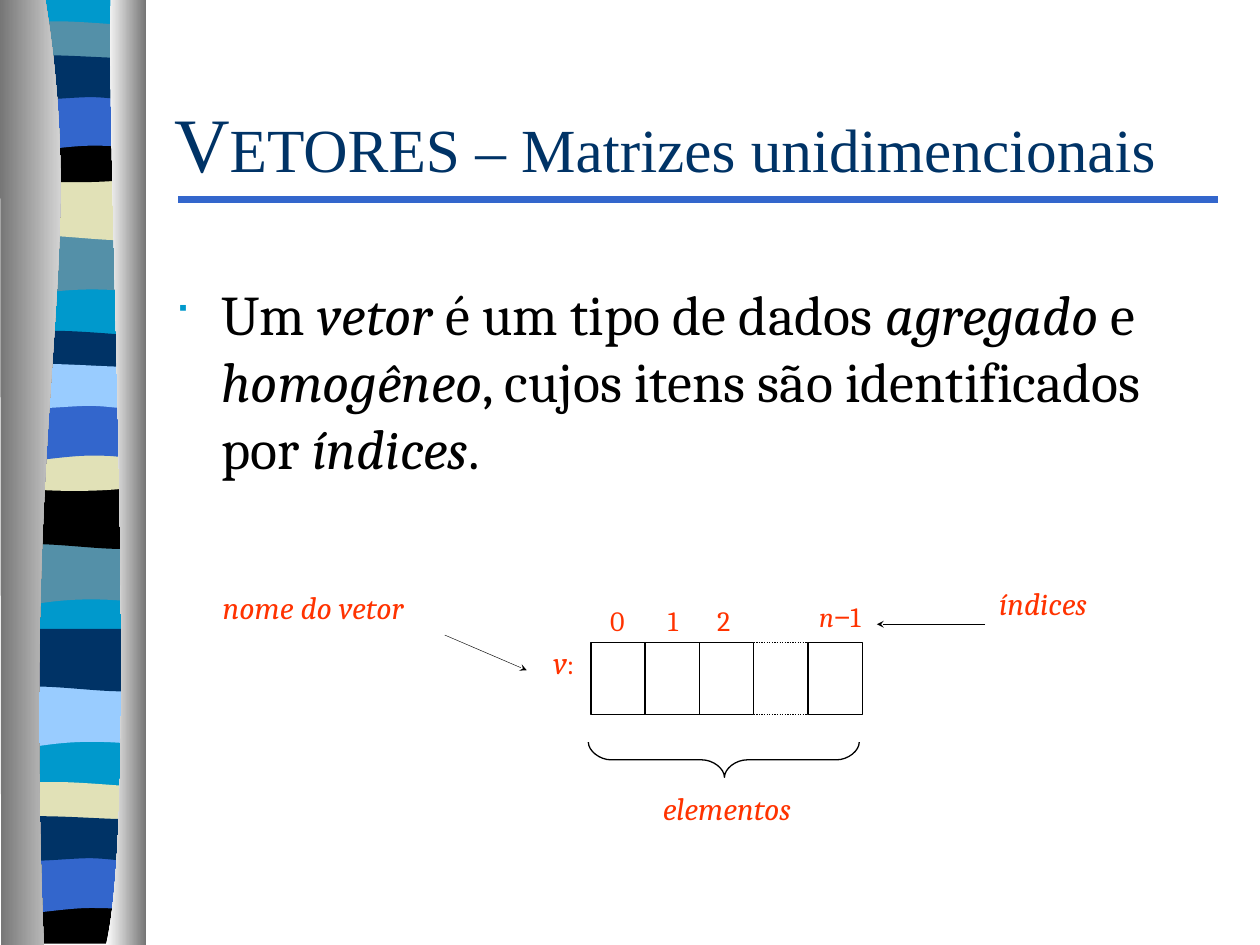
"""Build the slide that introduces one-dimensional arrays (vetores)."""
import pptx
import pptx.dml.color
import pptx.enum.dml
import pptx.enum.shapes
import pptx.enum.text
import pptx.oxml
import pptx.oxml.ns
import pptx.util

Pt = pptx.util.Pt
CENTER = pptx.enum.text.PP_ALIGN.CENTER
LEFT = pptx.enum.text.PP_ALIGN.LEFT
NAVY, BLUE, CYAN, SKY = "003366", "3366CC", "0099CC", "99CCFF"
SLATE, CREAM, BLACK, WHITE, GREY = "5490A8", "E1E1B7", "000000", "FFFFFF", "767676"
ORANGE = "FF3300"


def colour(code):
    return pptx.dml.color.RGBColor.from_string(code)


def add_span(para, text, size=18, font="Cambria", ink=ORANGE, italic=False):
    span = para.add_run()
    span.text = text
    span.font.size = Pt(size)
    span.font.name = font
    span.font.italic = italic
    span.font.color.rgb = colour(ink)


deck = pptx.Presentation()
deck.slide_width, deck.slide_height = Pt(720), Pt(540)
page = deck.slides.add_slide(deck.slide_layouts[6])

# Pairs are corners; groups of six are two control points and an end point.
profiles = {
    "back": [(78, 0), (78, 538.5), (0, 538.5), (0, 0)],
    "wave": [(78, 0), (78, 34), (24, 28, 13, 39.5, 0, 34), (0, 0)],
    "roll": [(78, 0), (78, 34), (65, 39.5, 24, 30, 0, 34), (0, 0)],
    "lens": [(78, 3.4), (78, 20.6), (65, 23.5, 13, 23.5, 0, 20.6), (0, 3.4),
             (4.5, 0, 16.5, 0.5, 29.5, 0.5), (42.5, 0.5, 68, 2.9, 78, 3.4)],
    "bowl": [(78, 0), (78, 23), (65, 27.4, 13, 27.4, 0, 23), (0, 0),
             (47.5, 3.6, 61, 0, 78, 0)],
    "arch": [(78, 0), (78, 34), (65.5, 30, 60.5, 30, 47.5, 30),
             (34.5, 30, 11.5, 34, 0, 34), (0, 0)],
    "flag": [(78, 3.6), (78, 26), (73, 29.5, 60.5, 26, 47.5, 26),
             (34.5, 26, 8, 29.5, 0, 26), (0, 3.6),
             (11, 0, 52.5, 3.6, 65.5, 3.6), (78.5, 3.6, 75, 3.6, 78, 3.6)],
    "foot": [(78, 0), (78, 26.6), (0, 26.6), (0, 0), (47.5, 3.6, 61, 0, 78, 0)],
    "left pillar": [(25.9, 0), (51, 156.2, 12, 213.7, 25, 540), (0.7, 540), (0, 0)],
    "right pillar": [(63.4, 0), (60.5, 90.7, 80, 465.7, 60.5, 540), (83.5, 540), (83.5, 0)],
    "brace": [(154.8, 0), (154.8, 5, 148.4, 10.1, 141.8, 10.1), (90.8, 10.1),
              (84.3, 10.1, 77.8, 15.1, 77.8, 20.1), (77.8, 15.1, 71.3, 10.1, 64.8, 10.1),
              (13, 10.1), (6.5, 10.1, 0, 5, 0, 0)],
}
outlines = [
    ("back", 4.3, 0, CYAN),
    ("wave", 4.3, 133.2, SLATE), ("roll", 4.3, 101.5, CREAM), ("lens", 4.3, 11.7, SLATE),
    ("bowl", 4.3, 77.8, BLACK), ("arch", 4.3, 53.3, BLUE), ("flag", 4.3, 29.5, NAVY),
    ("wave", 3.6, 310.3, SLATE), ("roll", 3.6, 277.9, BLACK), ("lens", 3.6, 188.6, NAVY),
    ("bowl", 3.6, 254.2, CREAM), ("arch", 3.6, 230.4, BLUE), ("flag", 3.6, 205.9, SKY),
    ("wave", 4.3, 391.7, SKY), ("roll", 4.3, 359.3, NAVY), ("lens", 3.6, 446.4, CREAM),
    ("foot", 3.6, 512.6, BLACK), ("arch", 3.6, 488.9, BLUE), ("flag", 3.6, 464.4, NAVY),
    ("left pillar", 0, 0, (GREY, WHITE)), ("right pillar", 0, 0, (WHITE, GREY)),
    ("brace", 336.2, 424.1, None),
]
for name, left, top, fill in outlines:
    segments = profiles[name]
    points = [(Pt(left + x), Pt(top + y))
              for segment in segments for x, y in zip(segment[::2], segment[1::2])]
    builder = page.shapes.build_freeform(*points[0], scale=1.0)
    builder.add_line_segments(points[1:], close=fill is not None)
    shape = builder.convert_to_shape()
    steps = iter(shape._element.xpath(".//a:lnTo"))
    for segment in segments[1:]:
        step = next(steps)
        if len(segment) == 6:
            step.tag = pptx.oxml.ns.qn("a:cubicBezTo")
            for extra in (next(steps), next(steps)):
                step.append(extra[0])
                extra.getparent().remove(extra)
    shape.shadow.inherit = False
    if fill is None:
        shape.fill.background()
        shape.line.color.rgb = colour(BLACK)
        shape.line.width = Pt(0.75)
        continue
    shape.line.fill.background()
    if isinstance(fill, tuple):
        shape.fill.gradient()
        shape.fill.gradient_angle = 0
        for stop, code, position in zip(shape.fill.gradient_stops, fill, (0, 1)):
            stop.color.rgb = colour(code)
            stop.position = position
    else:
        shape.fill.solid()
        shape.fill.fore_color.rgb = colour(fill)

cell_left, cell_top, cell_width, cell_height = 337.7, 367.2, 31, 41
for column in (0, 1, 2, 4):
    cell = page.shapes.add_shape(
        pptx.enum.shapes.MSO_SHAPE.RECTANGLE, Pt(cell_left + column * cell_width),
        Pt(cell_top), Pt(cell_width), Pt(cell_height))
    cell.shadow.inherit = False
    cell.fill.solid()
    cell.fill.fore_color.rgb = colour(WHITE)
    cell.line.color.rgb = colour(BLACK)
    cell.line.width = Pt(0.75)

gap_left, gap_right = cell_left + 3 * cell_width, cell_left + 4 * cell_width
cell_bottom = cell_top + cell_height
lines = [
    (102, 114, 696, 114, BLUE, 4.5, None),
    (gap_left, cell_top, gap_right, cell_top, BLACK, 0.75, "dots"),
    (gap_left, cell_bottom, gap_right, cell_bottom, BLACK, 0.75, "dots"),
    (254.2, 362.9, 301, 383, BLACK, 0.25, "arrow"),
    (563, 356.7, 501.1, 356.7, BLACK, 0.25, "arrow"),
]
for x1, y1, x2, y2, ink, weight, style in lines:
    line = page.shapes.add_connector(
        pptx.enum.shapes.MSO_CONNECTOR.STRAIGHT, Pt(x1), Pt(y1), Pt(x2), Pt(y2))
    line.line.color.rgb = colour(ink)
    line.line.width = Pt(weight)
    if style == "dots":
        line.line.dash_style = pptx.enum.dml.MSO_LINE.ROUND_DOT
    if style == "arrow":
        stroke = line.line._get_or_add_ln()
        stroke.append(pptx.oxml.parse_xml(
            f'<a:tailEnd {pptx.oxml.ns.nsdecls("a")} type="stealth" w="sm" len="sm"/>'))
    line._element.spPr.append(pptx.oxml.parse_xml(
        f'<a:effectLst {pptx.oxml.ns.nsdecls("a")}/>'))

title = {"font": "Times New Roman", "ink": NAVY}
definition = ("Um *vetor* é um tipo de dados *agregado* e *homogêneo*, "
              "cujos itens são identificados por *índices*.")
body_spans = [(text, {"size": 32, "ink": BLACK, "italic": order % 2 == 1})
              for order, text in enumerate(definition.split("*"))]
slanted, small = {"italic": True}, {"size": 16}
boxes = [
    ("title", 92.4, 36, 627.6, 90, LEFT,
     [("V", {**title, "size": 44}), ("ETORES – Matrizes unidimencionais", {**title, "size": 35})]),
    ("body", 92.4, 156.2, 603.4, 131.8, LEFT, body_spans),
    ("label", 563.8, 330, 108, 51, LEFT, [("índices", slanted)]),
    ("label", 120.2, 332.6, 149.8, 51, LEFT, [("nome do vetor", slanted)]),
    ("label", 371.7, 447.1, 108, 51, LEFT, [("elementos", slanted)]),
    ("index", 344.9, 344.9, 15.8, 20, CENTER, [("0", small)]),
    ("index", 376.6, 344.9, 15.8, 20, CENTER, [("1", small)]),
    ("index", 406, 344.9, 15.1, 20, CENTER, [("2", small)]),
    ("index", 463, 342.7, 33.8, 20, CENTER,
     [("n", {"size": 16, "italic": True}), ("−", {"size": 16, "font": "Arial"}), ("1", small)]),
    ("index", 306.7, 367.2, 31, 41, CENTER, [("v", slanted), (":", small)]),
]
for role, left, top, width, height, align, spans in boxes:
    box = page.shapes.add_textbox(Pt(left), Pt(top), Pt(width), Pt(height))
    frame = box.text_frame
    frame.word_wrap = True
    if role == "title":
        frame.vertical_anchor = pptx.enum.text.MSO_ANCHOR.MIDDLE
    if role == "index":
        frame.margin_left = frame.margin_right = frame.margin_top = frame.margin_bottom = 0
    para = frame.paragraphs[0]
    para.alignment = align
    if role == "body":
        settings = para._p.get_or_add_pPr()
        settings.set("marL", str(Pt(27)))
        settings.set("indent", str(-Pt(27)))
        for tag in (f'<a:buClr {{}}><a:srgbClr val="{CYAN}"/></a:buClr>',
                    '<a:buSzPct {} val="70000"/>',
                    '<a:buFont {} typeface="Wingdings" charset="2"/>',
                    '<a:buChar {} char="■"/>'):
            settings.append(pptx.oxml.parse_xml(tag.format(pptx.oxml.ns.nsdecls("a"))))
    for text, style in spans:
        add_span(para, text, **style)

deck.save("out.pptx")
